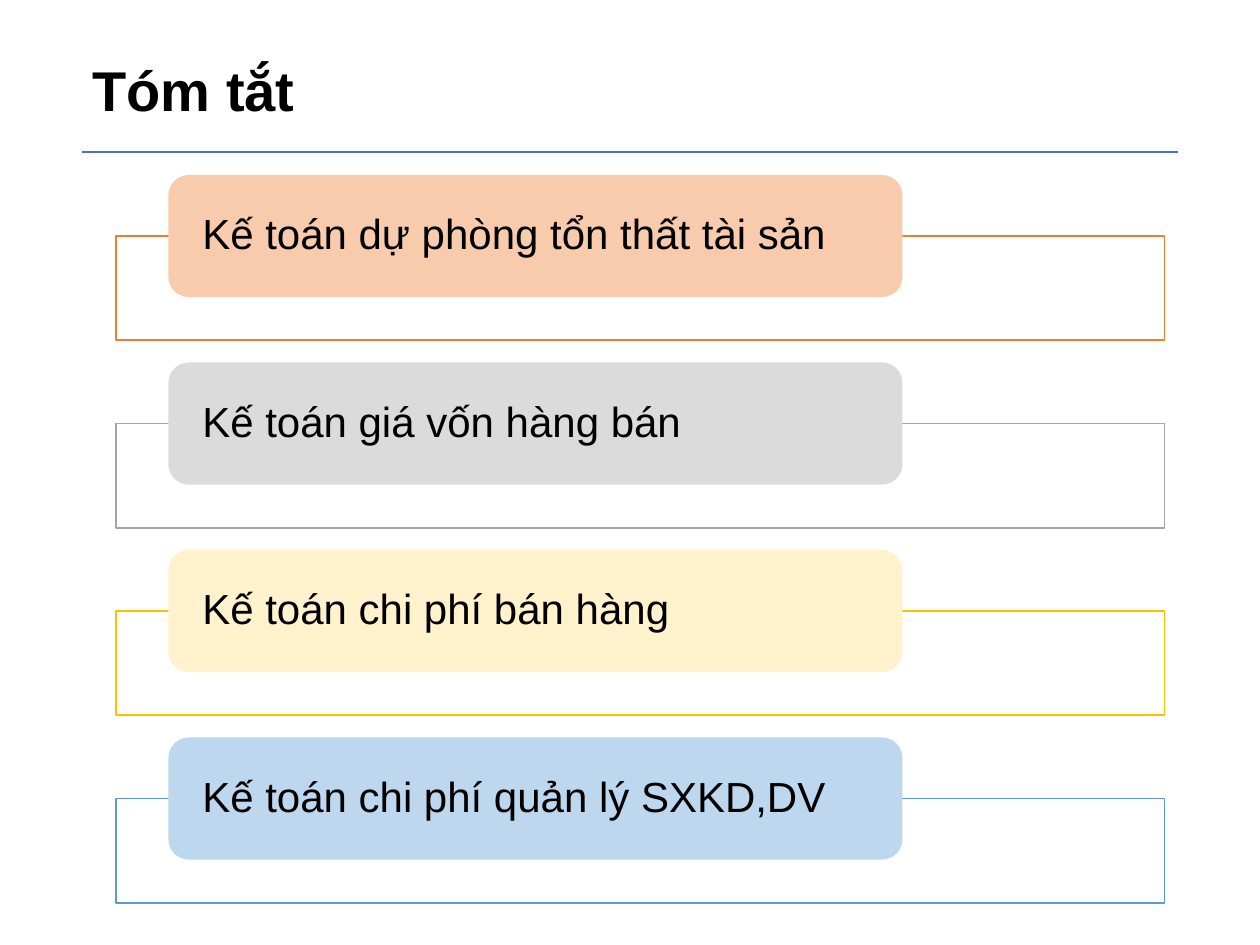
from lxml import etree
from pptx import Presentation
from pptx.dml.color import RGBColor
from pptx.enum import shapes, text
from pptx.oxml import ns
from pptx.util import Pt

COLORS = {
    "ink": "000000", "paper": "FFFFFF", "rule": "4472C4",
    "orange": "ED7D31", "orange_light": "F8CBAD",
    "gray": "A5A5A5", "gray_light": "DBDBDB",
    "gold": "FFC000", "gold_light": "FFF2CC",
    "blue": "5B9BD5", "blue_light": "BDD7EE",
}
TOPICS = [
    ("Kế toán dự phòng tổn thất tài sản", "orange"),
    ("Kế toán giá vốn hàng bán", "gray"),
    ("Kế toán chi phí bán hàng", "gold"),
    ("Kế toán chi phí quản lý SXKD,DV", "blue"),
]
FIRST_TOP, PITCH = 100, 107.15


class Deck:
    """Holds the style and the current slide, and draws each kind of element."""

    font = "Arial"

    def __init__(self, slide):
        self.s = slide

    def color(self, name):
        return RGBColor.from_string(COLORS[name])

    def run(self, p, words, size, bold=False):
        r = p.add_run()
        r.text = words
        r.font.name = self.font
        r.font.size = Pt(size)
        r.font.bold = bold
        r.font.color.rgb = self.color("ink")

    def title(self, words, x, y, w, h):
        tf = self.s.shapes.add_textbox(Pt(x), Pt(y), Pt(w), Pt(h)).text_frame
        tf.word_wrap = True
        tf.auto_size = text.MSO_AUTO_SIZE.SHAPE_TO_FIT_TEXT
        self.run(tf.paragraphs[0], words, 32, True)

    def rule(self, x1, x2, y):
        c = self.s.shapes.add_connector(
            shapes.MSO_CONNECTOR.STRAIGHT, Pt(x1), Pt(y), Pt(x2), Pt(y))
        c.line.color.rgb = self.color("rule")
        c.line.width = Pt(1.5)
        etree.SubElement(c._element.spPr, ns.qn("a:effectLst"))

    def shape(self, kind, x, y, w, h, fill):
        sp = self.s.shapes.add_shape(kind, Pt(x), Pt(y), Pt(w), Pt(h))
        sp.shadow.inherit = False
        sp.fill.solid()
        sp.fill.fore_color.rgb = self.color(fill)
        return sp

    def frame(self, x, y, w, h, line):
        sp = self.shape(shapes.MSO_SHAPE.RECTANGLE, x, y, w, h, "paper")
        sp.line.color.rgb = self.color(line)
        sp.line.width = Pt(1)
        rgb = sp._element.spPr.find(ns.qn("a:solidFill")).find(ns.qn("a:srgbClr"))
        etree.SubElement(rgb, ns.qn("a:alpha"), val="90000")

    def card(self, words, x, y, w, h, fill):
        sp = self.shape(shapes.MSO_SHAPE.ROUNDED_RECTANGLE, x, y, w, h, fill)
        sp.line.fill.background()
        tf = sp.text_frame
        tf.word_wrap = True
        tf.vertical_anchor = text.MSO_ANCHOR.MIDDLE
        tf.margin_left = tf.margin_right = Pt(16)
        tf.margin_top = tf.margin_bottom = Pt(0)
        p = tf.paragraphs[0]
        p.alignment = text.PP_ALIGN.LEFT
        p.line_spacing = 0.9
        self.run(p, words, 24)


def main():
    prs = Presentation()
    prs.slide_width, prs.slide_height = Pt(720), Pt(540)
    deck = Deck(prs.slides.add_slide(prs.slide_layouts[6]))
    deck.rule(46.8, 673.2, 86.8)
    deck.title("Tóm tắt", 45.8, 28.4, 358.6, 46)
    for i, (words, color) in enumerate(TOPICS):
        top = FIRST_TOP + i * PITCH
        deck.frame(66.3, top + 34.8, 599.2, 59.6, color)
        deck.card(words, 96.2, top, 419.5, 69.8, color + "_light")
    prs.save("out.pptx")


if __name__ == "__main__":
    main()
